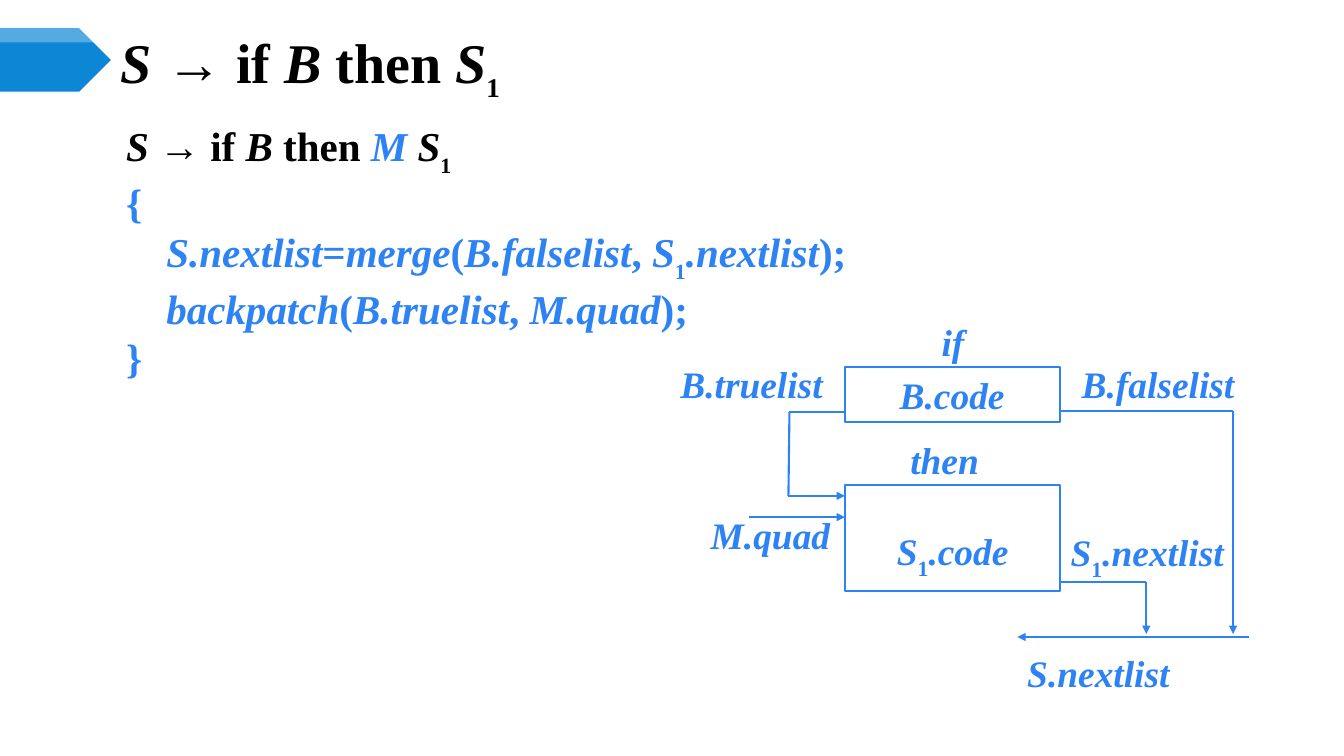
from lxml.etree import SubElement
from pptx import Presentation
from pptx.dml.color import RGBColor
from pptx.enum.shapes import MSO_CONNECTOR as Connector, MSO_SHAPE as Preset
from pptx.enum.text import MSO_ANCHOR as Anchor, MSO_AUTO_SIZE as AutoSize, PP_ALIGN as Align
from pptx.oxml.ns import qn
from pptx.util import Inches, Pt

COLOURS = {"ink": "000000", "code": "2D83F4", "marker": "0B87D6", "paper": "FFFFFF"}

TITLE = [("S ", "i"), ("→ if ", ""), ("B", "i"), (" then ", ""), ("S", "i"), ("1", "s")]

RULE = [
    (0, [("S ", "ik"), ("→ if", "k"), (" B", "ik"), (" then ", "k"),
         ("M", "i"), (" S", "ik"), ("1", "ks")]),
    (0, [("{", "")]),
    (0.4, [("S.nextlist", "i"), ("=", ""), ("merge", "i"), ("(", ""), ("B.falselist", "i"),
           (", ", ""), ("S", "i"), ("1", "s"), (".nextlist", "i"), (");", "")]),
    (0.4, [("backpatch", "i"), ("(", ""), ("B.truelist", "i"), (", ", ""),
           ("M.quad", "i"), (");", "")]),
    (0, [("}", "")]),
]

LABELS = [
    ((6.95, 5.03, 1.79, 0.55), [("M.quad", "i")]),
    ((9.24, 3.12, 0.55, 0.55), [("if", "i")]),
    ((6.65, 3.53, 2, 0.55), [("B.truelist", "i")]),
    ((10.63, 3.53, 2.19, 0.55), [("B.falselist", "i")]),
    ((10.09, 6.4, 2.1, 0.55), [("S.nextlist", "i")]),
    ((10.52, 5.2, 1.98, 0.55), [("S", "i"), ("1", "s"), (".nextlist", "i")]),
    ((8.93, 4.29, 1.18, 0.55), [("then", "i")]),
]

ROUTES = [
    [(8.38, 4.09), (7.83, 4.09), (7.82, 4.92), (8.38, 4.92)],
    [(7.43, 5.13), (8.38, 5.13)],
    [(10.5, 4.08), (12.23, 4.08), (12.23, 6.29)],
    [(10.5, 5.77), (11.37, 5.77), (11.37, 6.29)],
    [(12.39, 6.32), (10.09, 6.32)],
]


class Page:
    """Hold the style and the current slide, and draw each kind of element."""

    font = "Times New Roman"
    label_size = 26.7
    line_width = 1.5

    def __init__(self, deck):
        """Add a title and content slide to the deck."""
        self.slide = deck.slides.add_slide(deck.slide_layouts[1])
        self.shapes = self.slide.shapes

    def colour(self, name):
        """Return a named colour."""
        return RGBColor.from_string(COLOURS[name])

    def place(self, shape, bounds):
        """Move a shape to bounds given in inches."""
        for name, value in zip(("left", "top", "width", "height"), bounds):
            setattr(shape, name, Inches(value))

    def add_spans(self, para, spans, size, sub_size, colour="code"):
        """Add spans marked i for italic, s for subscript and k for ink."""
        for text, marks in spans:
            span = para.add_run()
            span.text = text
            form = {"name": self.font, "bold": True, "italic": "i" in marks,
                    "size": Pt(sub_size if "s" in marks else size)}
            for name, value in form.items():
                setattr(span.font, name, value)
            span.font.color.rgb = self.colour("ink" if "k" in marks else colour)
            if "s" in marks:
                span.font._element.set("baseline", "-30000")

    def frame(self, shape, anchor, wrap=True):
        """Fix how text sits in a shape and return its text frame."""
        frame = shape.text_frame
        form = {"word_wrap": wrap, "auto_size": AutoSize.NONE, "vertical_anchor": anchor}
        for name, value in form.items():
            setattr(frame, name, value)
        return frame

    def title(self, bounds, spans):
        """Fill the title placeholder."""
        self.place(self.shapes.title, bounds)
        para = self.frame(self.shapes.title, Anchor.MIDDLE).paragraphs[0]
        para.alignment = Align.LEFT
        self.add_spans(para, spans, 40, 33.3, "ink")

    def body(self, bounds, lines):
        """Fill the body placeholder with indented lines."""
        holder = self.slide.placeholders[1]
        self.place(holder, bounds)
        frame = self.frame(holder, Anchor.TOP)
        for number, (indent, spans) in enumerate(lines):
            para = frame.add_paragraph() if number else frame.paragraphs[0]
            para.alignment = Align.JUSTIFY
            para.space_before = Pt(0)
            props = para._p.get_or_add_pPr()
            props.set("marL", str(Inches(indent)))
            props.set("indent", "0")
            SubElement(props, qn("a:buNone"))
            self.add_spans(para, spans, 29.3, 26.7)

    def shape(self, preset, bounds, fill, line=None, alpha=None):
        """Add a filled preset shape."""
        shape = self.shapes.add_shape(preset, *map(Inches, bounds))
        shape.shadow.inherit = False
        shape.fill.solid()
        shape.fill.fore_color.rgb = self.colour(fill)
        if alpha:
            tint = shape._element.spPr.find(".//" + qn("a:srgbClr"))
            SubElement(tint, qn("a:alpha"), val=str(alpha * 1000))
        if line:
            shape.line.color.rgb = self.colour(line)
            shape.line.width = Pt(self.line_width)
        else:
            shape.line.fill.background()
        return shape

    def label(self, bounds, spans):
        """Add a text label."""
        box = self.shapes.add_textbox(*map(Inches, bounds))
        para = self.frame(box, Anchor.TOP).paragraphs[0]
        self.add_spans(para, spans, self.label_size, self.label_size)
        return box

    def arrow(self, points):
        """Join points with straight lines and end in an arrowhead."""
        for start, end in zip(points, points[1:]):
            line = self.shapes.add_connector(Connector.STRAIGHT, *map(Inches, start + end))
            line.line.color.rgb = self.colour("code")
            line.line.width = Pt(self.line_width)
            SubElement(line._element.spPr, qn("a:effectLst"))
        SubElement(line.line._ln, qn("a:tailEnd"), type="triangle")


def main():
    """Build the slide and save it."""
    deck = Presentation()
    deck.slide_width, deck.slide_height = Inches(13.33), Inches(7.5)
    page = Page(deck)
    page.shape(Preset.PENTAGON, (0, 0.28, 1.1, 0.63), "marker")
    page.shape(Preset.PENTAGON, (0, 0.28, 1.1, 0.14), "paper", alpha=30)
    page.title((1.1, 0.39, 11.56, 0.52), TITLE)
    page.body((1.15, 1.15, 8.64, 4.7), RULE)
    for bounds, spans in LABELS:
        page.label(bounds, spans)
    for points in ROUTES:
        page.arrow(points)

    condition = page.shape(Preset.RECTANGLE, (8.38, 3.64, 2.13, 0.55), "paper", "code")
    para = page.frame(condition, Anchor.TOP).paragraphs[0]
    para.alignment = Align.CENTER
    page.add_spans(para, [("B.code", "i")], page.label_size, page.label_size)

    page.shape(Preset.RECTANGLE, (8.38, 4.81, 2.13, 1.05), "paper", "code")
    branch = page.label((8.78, 4.6, 1.34, 1.05), [("S", "i"), ("1", "s"), (".code", "i")])
    para = page.frame(branch, Anchor.TOP, wrap=False).paragraphs[0]
    para.alignment = Align.CENTER
    para.line_spacing = Pt(80)
    deck.save("out.pptx")


if __name__ == "__main__":
    main()
